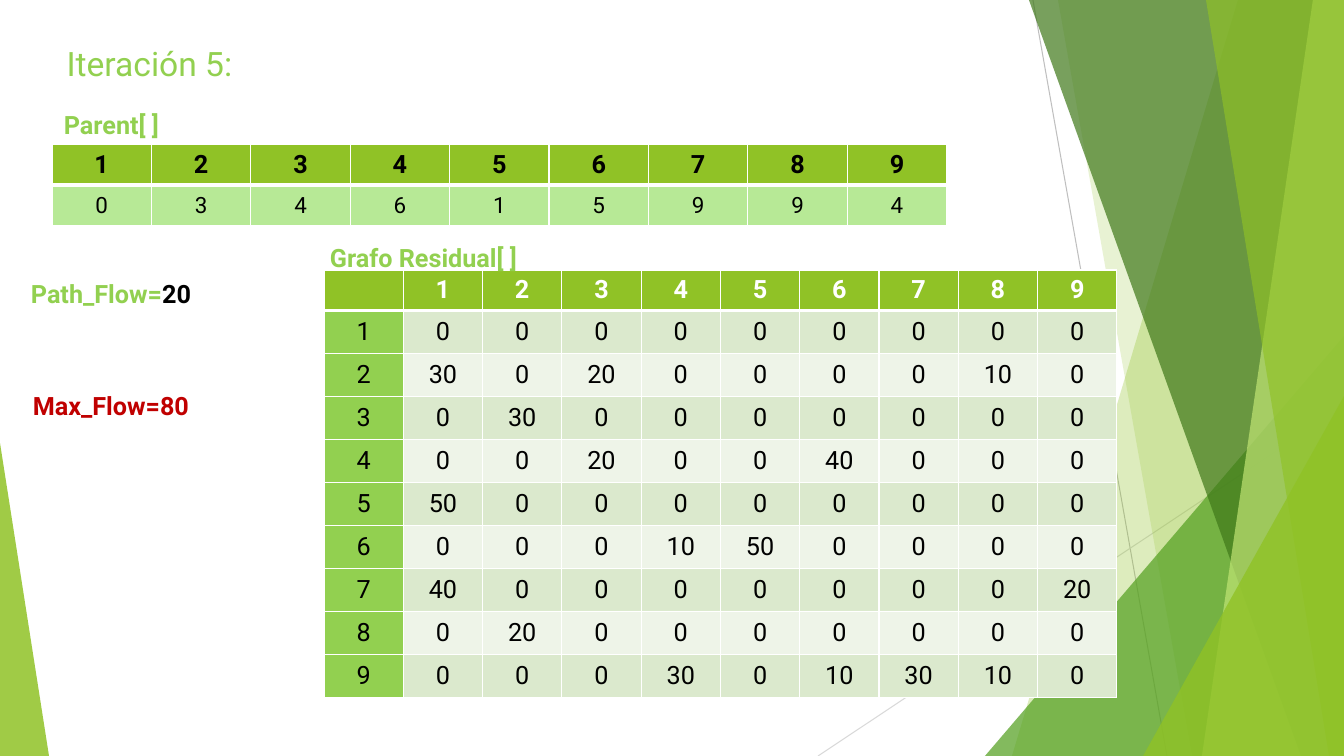
from pptx import Presentation
from pptx.dml.color import RGBColor
from pptx.enum.shapes import MSO_CONNECTOR, MSO_SHAPE
from pptx.enum.text import MSO_ANCHOR, MSO_AUTO_SIZE, PP_ALIGN
from pptx.oxml.ns import qn
from pptx.util import Pt
from lxml.etree import SubElement

PX = 914400 / 100.8
WIDE, HIGH = 1344, 756
HUES = {
    "white": "FFFFFF", "black": "000000", "red": "C00000",
    "green": "90C226", "lime": "92D050", "mint": "B7E996",
    "leaf": "54A021", "forest": "3F7819", "pale": "C0E474",
    "band": "DBE9CD", "light": "EEF4E8",
    "gray": "BFBFBF", "silver": "D9D9D9",
}


def emu(px):
    return round(px * PX)


def hue(name):
    return RGBColor.from_string(HUES[name])


class Page:
    def __init__(self, slide, face):
        self.items = slide.shapes
        self.face = face

    def style(self, run, size, color, bold=False):
        look = {"name": self.face, "size": Pt(size), "bold": bold}
        for key, value in look.items():
            setattr(run.font, key, value)
        run.font.color.rgb = hue(color)

    def paint(self, shape, color, alpha):
        shape.shadow.inherit = False
        shape.fill.solid()
        shape.fill.fore_color.rgb = hue(color)
        tint = shape._element.spPr.find(".//" + qn("a:srgbClr"))
        SubElement(tint, qn("a:alpha"), val=str(alpha * 1000))
        shape.line.fill.background()

    def line(self, start, end, color):
        link = self.items.add_connector(
            MSO_CONNECTOR.STRAIGHT, *map(emu, start + end))
        link.line.color.rgb = hue(color)
        link.line.width = Pt(0.75)
        SubElement(link._element.spPr, qn("a:effectLst"))

    def blade(self, top, base, color, alpha):
        """Full-height facet that ends at the right edge of the slide."""
        form = self.items.build_freeform(top, 0, scale=PX)
        form.add_line_segments([(WIDE, 0), (WIDE, HIGH), (base, HIGH)])
        self.paint(form.convert_to_shape(), color, alpha)

    def wedge(self, box, tip, color, alpha):
        shape = self.items.add_shape(
            MSO_SHAPE.ISOSCELES_TRIANGLE, *map(emu, box))
        shape.adjustments[0] = tip
        self.paint(shape, color, alpha)

    def label(self, box, size, bold, *parts):
        frame = self.items.add_textbox(*map(emu, box)).text_frame
        frame.word_wrap = False
        frame.auto_size = MSO_AUTO_SIZE.SHAPE_TO_FIT_TEXT
        para = frame.paragraphs[0]
        para.alignment = PP_ALIGN.CENTER
        for text, color in parts:
            run = para.add_run()
            run.text = text
            self.style(run, size, color, bold)

    def cell(self, cell, text, row, fill, font):
        props = cell._tc.get_or_add_tcPr()
        for side in "LRTB":
            thick = (row, side) in ((0, "B"), (1, "T"))
            edge = SubElement(props, qn("a:ln" + side),
                              w=str(Pt(3 if thick else 1)))
            solid = SubElement(edge, qn("a:solidFill"))
            SubElement(solid, qn("a:srgbClr"), val=HUES["white"])
        cell.fill.solid()
        cell.fill.fore_color.rgb = hue(fill)
        cell.vertical_anchor = MSO_ANCHOR.MIDDLE
        para = cell.text_frame.paragraphs[0]
        para.alignment = PP_ALIGN.CENTER
        if text != "":
            run = para.add_run()
            run.text = str(text)
            self.style(run, *font)

    def table(self, box, rows, head, body, pick, fonts):
        grid = self.items.add_table(
            len(rows), len(rows[0]), *map(emu, box)).table
        grid.first_row = grid.horz_banding = False
        for col in grid.columns:
            col.width = emu(box[2] / len(rows[0]))
        for r, values in enumerate(rows):
            grid.rows[r].height = emu(body if r else head)
            for c, text in enumerate(values):
                self.cell(grid.cell(r, c), text, r, pick(r, c), fonts[r > 0])


def parent_fill(r, c):
    return "mint" if r else "green"


def graph_fill(r, c):
    if r == 0:
        return "green"
    if c == 0:
        return "lime"
    return "band" if r % 2 else "light"


def main():
    deck = Presentation()
    deck.slide_width, deck.slide_height = emu(WIDE), emu(HIGH)
    page = Page(deck.slides.add_slide(deck.slide_layouts[6]), "Roboto")

    # Faceted backdrop
    page.line((1033, 0), (1167, HIGH), "gray")
    page.line((WIDE, 406), (818, HIGH), "silver")
    page.blade(1238, 1012, "green", 30)
    page.blade(1058, 1192, "green", 20)
    page.wedge((985, 336, 359, 420), 1, "leaf", 72)
    page.blade(1029, 1301, "forest", 70)
    page.blade(1313, 1202, "pale", 70)
    page.blade(1206, 1329, "green", 65)
    page.wedge((1143, 396, 201, 360), 1, "green", 80)
    page.wedge((0, 443, 49, 313), 0, "green", 85)

    # Parent list
    nodes = list(range(1, 10))
    page.table((52, 144, 895, 82), [nodes, [0, 3, 4, 6, 1, 5, 9, 9, 4]],
               41, 41, parent_fill,
               [(18, "black", True), (16, "black")])
    page.label((51, 38, 197, 50), 24, False, ("Iteración 5:", "lime"))
    page.label((48, 104, 127, 40), 18, True, ("Parent[ ]", "lime"))

    # Residual graph: (row, column) -> capacity
    flows = {
        (2, 1): 30, (2, 3): 20, (2, 8): 10, (3, 2): 30, (4, 3): 20,
        (4, 6): 40, (5, 1): 50, (6, 4): 10, (6, 5): 50, (7, 1): 40,
        (7, 9): 20, (8, 2): 20, (9, 4): 30, (9, 6): 10, (9, 7): 30,
        (9, 8): 10,
    }
    graph = [[""] + nodes]
    graph += [[r] + [flows.get((r, c), 0) for c in nodes] for r in nodes]
    page.table((324, 270, 793, 427), graph, 40, 43, graph_fill,
               [(18, "white", True), (18, "black")])
    page.label((313, 237, 221, 40), 18, True, ("Grafo Residual[ ]", "lime"))

    # Flow totals
    page.label((17, 273, 188, 40), 18, True,
               ("Path_Flow=", "lime"), ("20", "black"))
    page.label((20, 385, 182, 40), 18, True, ("Max_Flow=80", "red"))

    deck.save("out.pptx")


if __name__ == "__main__":
    main()
